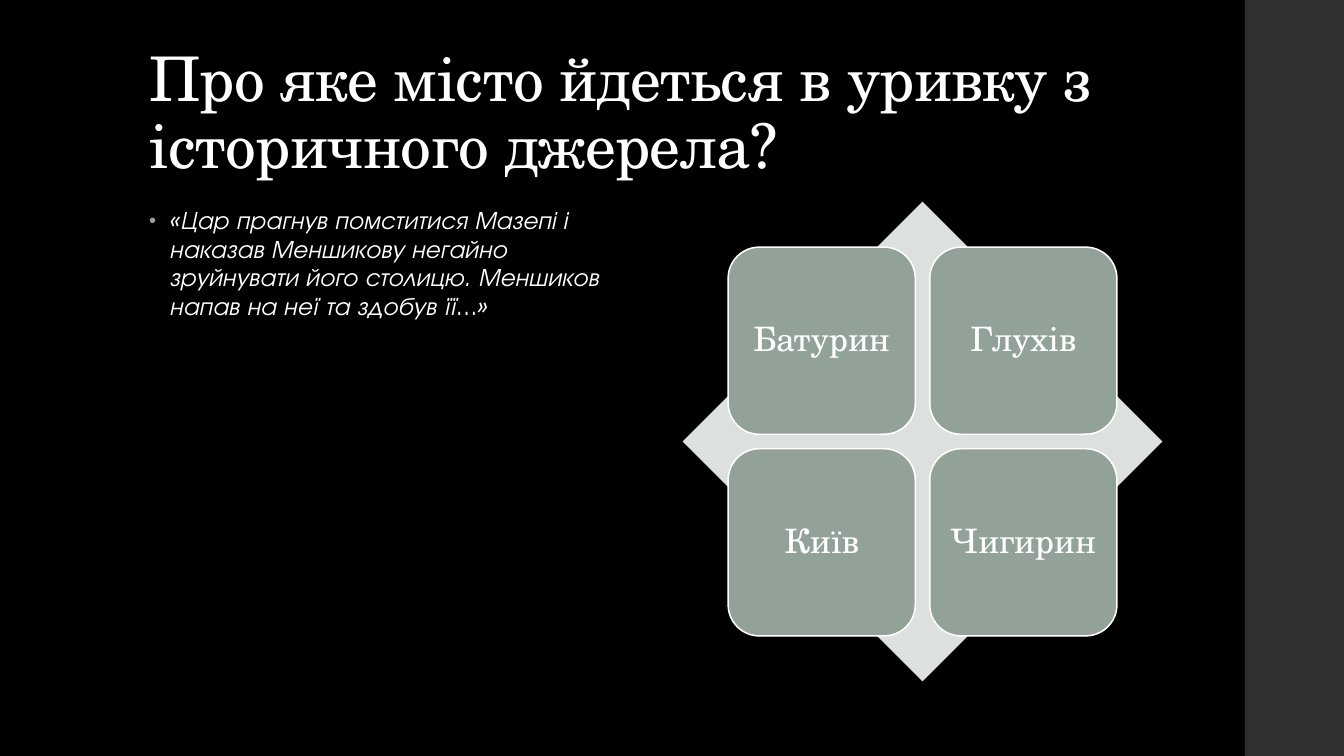
import pptx
import pptx.dml.color
import pptx.enum.shapes
import pptx.enum.text
import pptx.oxml
import pptx.oxml.ns
import pptx.util

Pt = pptx.util.Pt
SHAPE = pptx.enum.shapes.MSO_SHAPE
ALIGN = pptx.enum.text.PP_ALIGN
ANCHOR = pptx.enum.text.MSO_ANCHOR

SERIF, SANS = "TeX Gyre Schola", "TeX Gyre Adventor"
BLACK, WHITE, SAGE, PALE, CHARCOAL = "000000", "FFFFFF", "93A299", "DCE0DE", "303030"

TITLE = "Про яке місто йдеться в уривку з історичного джерела?"
QUOTE = ("«Цар прагнув помститися Мазепі і наказав Меншикову негайно зруйнувати "
         "його столицю. Меншиков напав на неї та здобув її…»")
CITIES = ["Батурин", "Глухів", "Київ", "Чигирин"]

LEFT = 99.4
DIAMOND_LEFT, DIAMOND_TOP, DIAMOND_SIZE = 487.6, 144, 342.7
TILE_SIZE, TILE_STEP = 133.7, 144


def rgb(color):
    return pptx.dml.color.RGBColor.from_string(color)


def fill_text(s, text, font, size, line_spacing, align, anchor, spacing=0):
    """Write one white paragraph; spacing is between letters, in points."""
    tf = s.text_frame
    tf.word_wrap = True
    tf.auto_size = pptx.enum.text.MSO_AUTO_SIZE.NONE
    tf.vertical_anchor = anchor
    p = tf.paragraphs[0]
    r = p.add_run()
    r.text = text
    if spacing:
        r._r.get_or_add_rPr().set("spc", str(round(spacing * 100)))
    p.alignment = align
    p.line_spacing = line_spacing
    p.space_before = Pt(0)
    p.font.name = font
    p.font.size = Pt(size)
    p.font.color.rgb = rgb(WHITE)
    return p


def add_block(slide, kind, left, top, width, height, fill, line=None):
    s = slide.shapes.add_shape(kind, Pt(left), Pt(top), Pt(width), Pt(height))
    s.shadow.inherit = False
    s.fill.solid()
    s.fill.fore_color.rgb = rgb(fill)
    if line:
        s.line.color.rgb = rgb(line)
        s.line.width = Pt(1.1)
    else:
        s.line.fill.background()
    return s


def set_title(slide):
    s = slide.shapes.title
    s.left, s.top, s.width, s.height = Pt(LEFT), Pt(28.8), Pt(763.2), Pt(104.4)
    fill_text(s, TITLE, SERIF, 44, 0.9, ALIGN.LEFT, ANCHOR.BOTTOM, spacing=-0.5)


def add_bullet(p, indent, color, percent):
    pPr = p._p.get_or_add_pPr()
    pPr.set("marL", str(Pt(indent)))
    pPr.set("indent", str(-Pt(indent)))
    ns = pptx.oxml.ns.nsdecls("a")
    bullet = [f'<a:buClr {ns}><a:srgbClr val="{color}"/></a:buClr>',
              f'<a:buSzPct {ns} val="{percent * 1000}"/>',
              f'<a:buFont {ns} typeface="Arial"/>',
              f'<a:buChar {ns} char="•"/>']
    font = pPr.find(pptx.oxml.ns.qn("a:defRPr"))
    for xml in bullet:
        font.addprevious(pptx.oxml.parse_xml(xml))


def add_quote(slide):
    s = slide.shapes.add_textbox(Pt(LEFT), Pt(144), Pt(352.8), Pt(342.7))
    p = fill_text(s, QUOTE, SANS, 18, 0.95, ALIGN.LEFT, ANCHOR.TOP, spacing=0.1)
    p.font.italic = True
    add_bullet(p, 14.4, SAGE, 80)


def add_city_matrix(slide):
    """Centre a two-by-two grid of city tiles on a diamond."""
    add_block(slide, SHAPE.DIAMOND, DIAMOND_LEFT, DIAMOND_TOP,
              DIAMOND_SIZE, DIAMOND_SIZE, PALE)
    margin = (DIAMOND_SIZE - TILE_STEP - TILE_SIZE) / 2
    for i, city in enumerate(CITIES):
        row, col = divmod(i, 2)
        s = add_block(slide, SHAPE.ROUNDED_RECTANGLE,
                      DIAMOND_LEFT + margin + col * TILE_STEP,
                      DIAMOND_TOP + margin + row * TILE_STEP,
                      TILE_SIZE, TILE_SIZE, SAGE, WHITE)
        fill_text(s, city, SERIF, 24, 0.9, ALIGN.CENTER, ANCHOR.MIDDLE)


def main():
    prs = pptx.Presentation()
    prs.slide_width, prs.slide_height = Pt(960), Pt(540)
    slide = prs.slides.add_slide(prs.slide_layouts[5])
    slide.background.fill.solid()
    slide.background.fill.fore_color.rgb = rgb(BLACK)
    add_block(slide, SHAPE.RECTANGLE, 889.2, 0, 70.8, 540, CHARCOAL)
    set_title(slide)
    add_quote(slide)
    add_city_matrix(slide)
    prs.save("out.pptx")


if __name__ == "__main__":
    main()
